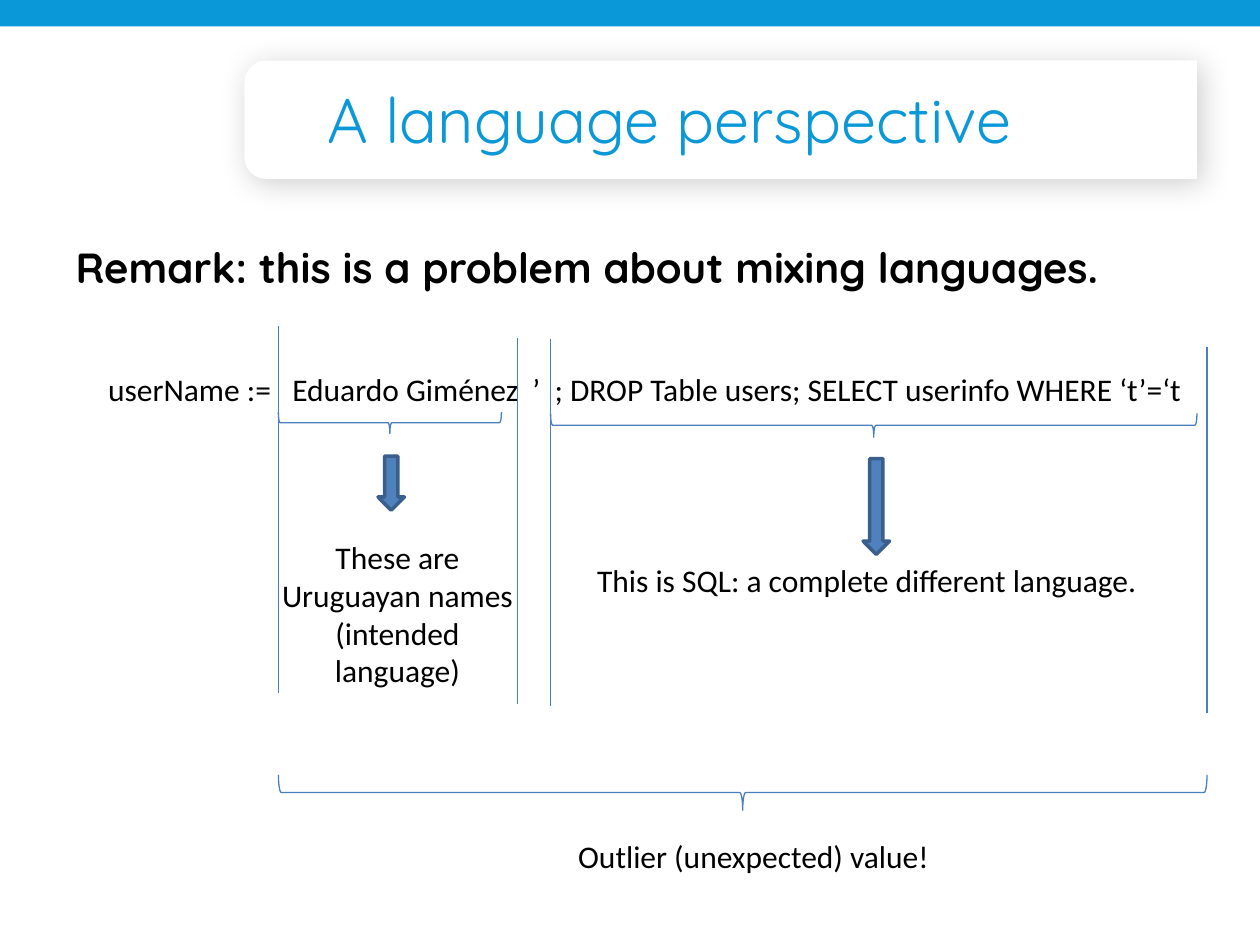
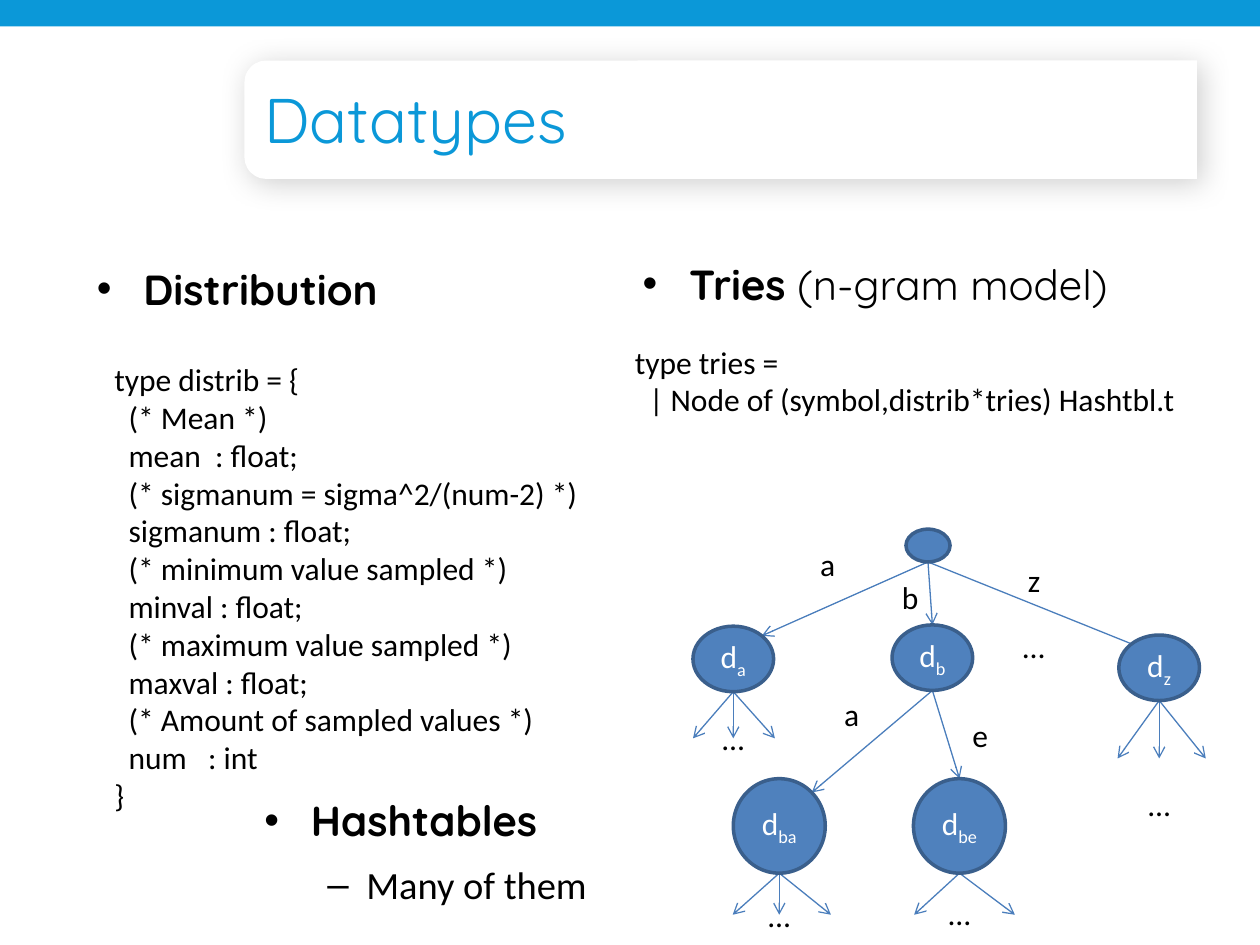
import math
from dataclasses import dataclass

import pptx
import pptx.dml.color
import pptx.enum.shapes
import pptx.enum.text
import pptx.oxml
import pptx.oxml.ns
import pptx.util
from pptx.util import Inches, Pt

SHAPE = pptx.enum.shapes.MSO_SHAPE
ALIGN = pptx.enum.text.PP_ALIGN
FIT = pptx.enum.text.MSO_AUTO_SIZE
ANCHOR = pptx.enum.text.MSO_ANCHOR
NS = pptx.oxml.ns.nsdecls("a")


@dataclass(frozen=True)
class Theme:
    accent: str = "0B98D8"
    ink: str = "000000"
    paper: str = "FFFFFF"
    shape_fill: str = "4F81BD"
    shape_line: str = "3A5F8C"
    thin_line: str = "4B7EBC"
    head_font: str = "Quicksand"
    text_font: str = "Calibri"
    title_size: int = 36
    head_size: int = 24
    sub_size: int = 22
    text_size: int = 18
    outline: float = 2
    hairline: float = 0.75


def rgb(code):
    return pptx.dml.color.RGBColor.from_string(code)


def place(sp, x, y, w, h):
    sp.left, sp.top, sp.width, sp.height = map(Inches, (x, y, w, h))


class Deck:
    def __init__(self, theme):
        self.theme = theme
        self.prs = pptx.Presentation()
        self.prs.slide_width, self.prs.slide_height = Inches(10), Inches(7.5)
        self.s = None

    def style(self, p, size, font=None, color=None, bold=False):
        for r in p.runs:
            r.font.size = Pt(size)
            r.font.name = font or self.theme.text_font
            r.font.color.rgb = rgb(color or self.theme.ink)
            r.font.bold = bold

    def slide(self, title, title_x):
        """Start a slide with its top band, title panel and title."""
        t = self.theme
        self.s = self.prs.slides.add_slide(self.prs.slide_layouts[1])
        panel = self.turned(SHAPE.ROUND_2_SAME_RECTANGLE, 1.94, 0.48, 7.56, 0.94, fill=t.paper)
        panel.adjustments[0] = 0.184
        effects = panel._element.spPr.find(pptx.oxml.ns.qn("a:effectLst"))
        effects.append(pptx.oxml.parse_xml(
            f'<a:outerShdw {NS} blurRad="{Pt(17)}" dist="{Pt(3)}" dir="2700000" rotWithShape="0">'
            f'<a:srgbClr val="{t.ink}"><a:alpha val="19000"/></a:srgbClr></a:outerShdw>'))
        band = self.shape(SHAPE.RECTANGLE, 0, 0, 10, 0.21, fill=t.accent)
        for sp in (band, panel):
            self.s.shapes._spTree.insert(2, sp._element)

        sp = self.s.shapes.title
        place(sp, title_x, 0.47, 9.5 - title_x, 0.94)
        tf = sp.text_frame
        tf.text = title
        tf.auto_size = FIT.NONE
        tf.vertical_anchor = ANCHOR.MIDDLE
        p = tf.paragraphs[0]
        p.alignment = ALIGN.LEFT
        self.style(p, t.title_size, t.head_font, t.accent)

    def shape(self, kind, x, y, w, h, fill=None, line=None, width=None):
        sp = self.s.shapes.add_shape(kind, *map(Inches, (x, y, w, h)))
        sp.shadow.inherit = False
        if fill:
            sp.fill.solid()
            sp.fill.fore_color.rgb = rgb(fill)
        else:
            sp.fill.background()
        if line:
            sp.line.color.rgb = rgb(line)
            sp.line.width = Pt(width)
        else:
            sp.line.fill.background()
        return sp

    def turned(self, kind, x, y, w, h, **look):
        """Shape turned by 270 degrees that fills the box x, y, w, h."""
        shift = (w - h) / 2
        sp = self.shape(kind, x + shift, y - shift, h, w, **look)
        sp.rotation = 270
        return sp

    def brace(self, x, y, w, h):
        self.turned(SHAPE.LEFT_BRACE, x, y, w, h,
                    line=self.theme.thin_line, width=self.theme.hairline)

    def solid(self, kind, x, y, w, h):
        t = self.theme
        return self.shape(kind, x, y, w, h, t.shape_fill, t.shape_line, t.outline)

    def line(self, start, end, arrow=False):
        cx = self.s.shapes.add_connector(
            pptx.enum.shapes.MSO_CONNECTOR.STRAIGHT, *map(Inches, (*start, *end)))
        cx.line.color.rgb = rgb(self.theme.thin_line)
        cx.line.width = Pt(self.theme.hairline)
        if arrow:
            cx.line._get_or_add_ln().append(
                pptx.oxml.parse_xml(f'<a:tailEnd {NS} type="arrow"/>'))
        cx._element.spPr.append(pptx.oxml.parse_xml(f"<a:effectLst {NS}/>"))

    def text(self, text, x, y, w, h=0.4, wrap=False, align=ALIGN.LEFT):
        tf = self.s.shapes.add_textbox(*map(Inches, (x, y, w, h))).text_frame
        tf.text = text
        tf.word_wrap = wrap
        tf.auto_size = FIT.SHAPE_TO_FIT_TEXT
        for p in tf.paragraphs:
            p.alignment = align
            self.style(p, self.theme.text_size)

    def heading(self, bold, x, y, w, h, plain="", sub="", bullet=True, body=False):
        """Bold heading with an optional plain ending and sub-item."""
        t = self.theme
        if body:
            sp = self.s.placeholders[1]
            place(sp, x, y, w, h)
        else:
            sp = self.s.shapes.add_textbox(*map(Inches, (x, y, w, h)))
        tf = sp.text_frame
        tf.word_wrap = True
        tf.auto_size = FIT.NONE
        tf.text = bold
        p = tf.paragraphs[0]
        self.list_item(p, "•" if bullet else None, 0.37, 0.37, 28, 0)
        self.style(p, t.head_size, t.head_font, bold=True)
        if plain:
            p.add_run().text = plain
            self.style(p, t.head_size, t.head_font)
            p.runs[0].font.bold = True
        if sub:
            p = tf.add_paragraph()
            p.text = sub
            p.level = 1
            self.list_item(p, "–", 0.81, 0.31, 25, 0.2 * t.sub_size)
            self.style(p, t.sub_size)

    def list_item(self, p, bullet, margin, hang, leading, before):
        pPr = p._p.get_or_add_pPr()
        if bullet:
            pPr.set("marL", str(Inches(margin)))
            pPr.set("indent", str(-Inches(hang)))
            pPr.append(pptx.oxml.parse_xml(f'<a:buFont {NS} typeface="Arial"/>'))
            pPr.append(pptx.oxml.parse_xml(f'<a:buChar {NS} char="{bullet}"/>'))
        else:
            pPr.set("marL", "0")
            pPr.set("indent", "0")
            pPr.append(pptx.oxml.parse_xml(f"<a:buNone {NS}/>"))
        p.alignment = ALIGN.LEFT
        p.line_spacing = Pt(leading)
        p.space_before = Pt(before)
        p.space_after = Pt(6)

    def node(self, subscript, x, y, w, h):
        tf = self.solid(SHAPE.OVAL, x, y, w, h).text_frame
        if not subscript:
            return
        tf.word_wrap = False
        tf.vertical_anchor = ANCHOR.MIDDLE
        p = tf.paragraphs[0]
        p.text = "d"
        p.add_run().text = subscript
        p.alignment = ALIGN.CENTER
        self.style(p, self.theme.text_size, color=self.theme.paper)
        p.runs[1].font._element.set("baseline", "-25000")


def language_slide(deck):
    deck.slide("A language perspective", 2.5)
    deck.heading("Remark: this is a problem about mixing languages.",
                 0.5, 1.88, 9, 0.96, bullet=False, body=True)
    deck.text("userName :=   Eduardo Giménez  ’  ; DROP Table users; "
              "SELECT userinfo WHERE ‘t’=‘t", 0.76, 2.89, 8.83)
    for box in ((2.21, 3.27, 1.77, 0.17), (4.37, 3.28, 5.13, 0.19), (2.21, 6.15, 7.37, 0.28)):
        deck.brace(*box)
    for x, top in ((2.21, 2.59), (4.11, 2.68), (4.37, 2.69), (9.58, 2.75)):
        deck.line((x, top), (x, top + 2.91))
    deck.solid(SHAPE.DOWN_ARROW, 3, 3.62, 0.21, 0.43)
    deck.solid(SHAPE.DOWN_ARROW, 6.85, 3.64, 0.21, 0.76)
    deck.text("These are\nUruguayan names\n(intended\nlanguage)",
              1.97, 4.22, 2.37, 1.31, wrap=True, align=ALIGN.CENTER)
    deck.text("This is SQL: a complete different language.", 4.64, 4.4, 4.68, wrap=True)
    deck.text("Outlier (unexpected) value!", 4.49, 6.59, 3.02)


DISTRIB_CODE = """type distrib = {
  (* Mean *)
  mean  : float;
  (* sigmanum = sigma^2/(num-2) *)
  sigmanum : float;
  (* minimum value sampled *)
  minval : float;
  (* maximum value sampled *)
  maxval : float;
  (* Amount of sampled values *)
  num   : int
}"""
TRIES_CODE = """type tries =
  | Node of (symbol,distrib*tries) Hashtbl.t"""

# Subscript: left, top, width, height; the root has no subscript.
NODES = {
    "": (7.19, 4.2, 0.35, 0.26),
    "a": (5.5, 4.97, 0.64, 0.52),
    "b": (7.08, 4.96, 0.64, 0.52),
    "z": (8.88, 5.04, 0.64, 0.52),
    "ba": (5.82, 6.18, 0.73, 0.75),
    "be": (7.25, 6.18, 0.73, 0.75),
}
DIAGONAL = math.sqrt(0.5)
# Parent, child, end point in radii from the child's centre.
EDGES = (
    ("", "a", DIAGONAL, -DIAGONAL),
    ("", "b", 0, -1),
    ("", "z", -0.06, -0.42),
    ("b", "ba", DIAGONAL, -DIAGONAL),
    ("b", "be", 0, -1),
)
# Node, sideways reach of each arrow, drop, top of the ellipsis.
FANS = (
    ("a", (-0.32, 0, 0.33), 0.37, 5.66),
    ("z", (-0.33, 0, 0.37), 0.46, 6.18),
    ("ba", (-0.37, 0, 0.41), 0.33, 7.06),
    ("be", (-0.36, 0.44), 0.33, 7.05),
)
EDGE_LABELS = (
    ("a", 6.41, 4.28, 0.32), ("b", 7.06, 4.54, 0.34), ("z", 8.06, 4.4, 0.3),
    ("e", 7.62, 5.63, 0.33), ("a", 6.6, 5.47, 0.32), ("…", 8.02, 4.93, 0.38),
)


def node_point(name, dx, dy):
    """Point at dx, dy radii from the centre of a node."""
    x, y, w, h = NODES[name]
    return x + w / 2 * (1 + dx), y + h / 2 * (1 + dy)


def draw_trie(deck):
    for parent, child, dx, dy in EDGES:
        deck.line(node_point(parent, 0, 1), node_point(child, dx, dy), arrow=True)
    for name, reaches, drop, dots_top in FANS:
        x, y = node_point(name, 0, 1)
        for reach in reaches:
            deck.line((x, y), (x + reach, y + drop), arrow=True)
        deck.text("…", x - 0.35, dots_top, 0.7, wrap=True, align=ALIGN.CENTER)
    for name, box in NODES.items():
        deck.node(name, *box)
    for label in EDGE_LABELS:
        deck.text(*label)


def datatypes_slide(deck):
    deck.slide("Datatypes", 2)
    deck.heading("Tries", 5, 2.01, 4.18, 0.77, plain=" (n-gram model)", body=True)
    deck.heading("Distribution", 0.67, 2.05, 4.06, 0.7)
    deck.heading("Hashtables", 2, 6.27, 3.2, 1.16, sub="Many of them")
    deck.text(DISTRIB_CODE, 0.81, 2.81, 3.93, 3.74)
    deck.text(TRIES_CODE, 4.94, 2.67, 4.64, 0.71)
    draw_trie(deck)


def main():
    deck = Deck(Theme())
    language_slide(deck)
    datatypes_slide(deck)
    deck.prs.save("out.pptx")


if __name__ == "__main__":
    main()
